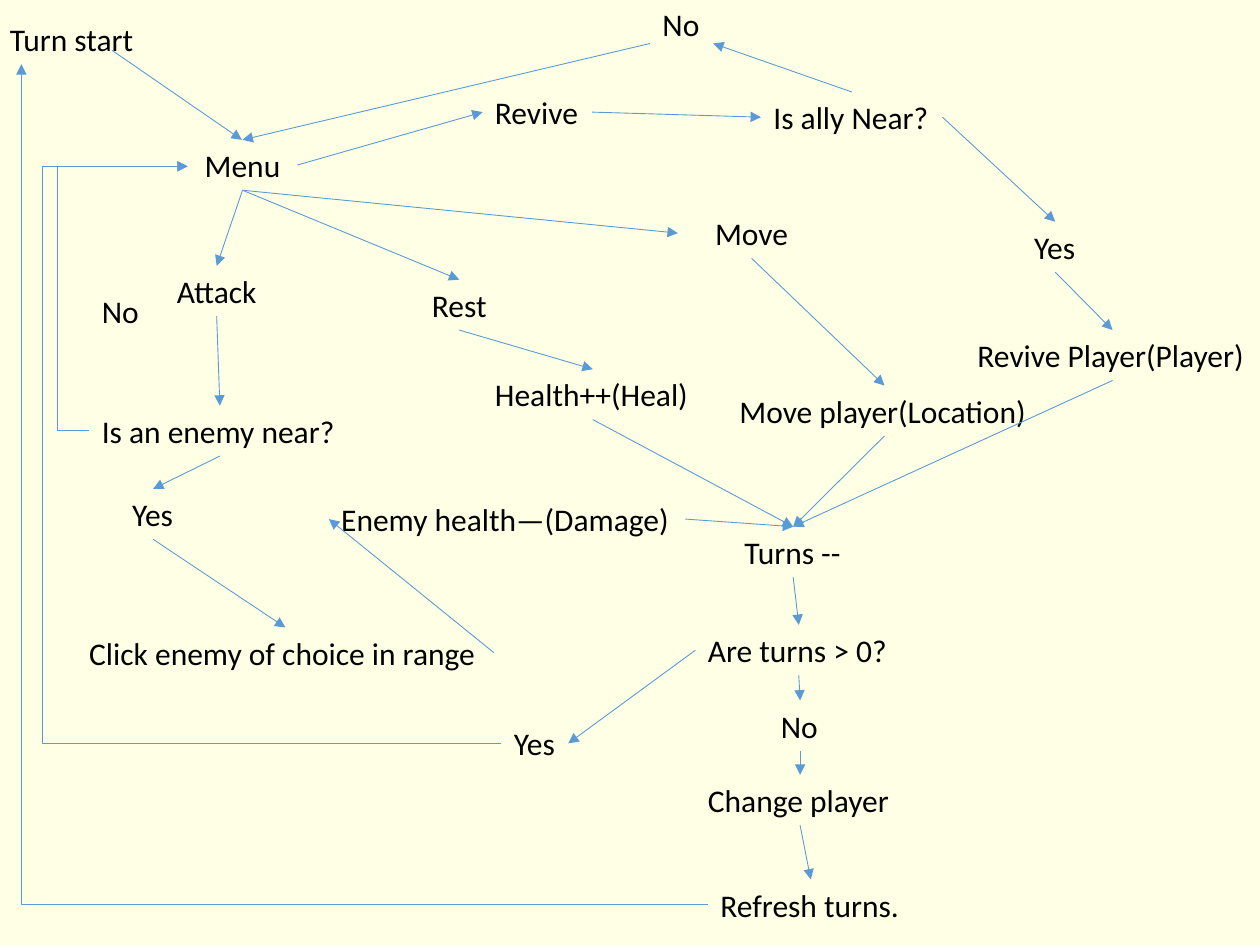
"""Build the turn flowchart slide."""
import pptx
import pptx.dml.color
import pptx.enum.shapes
import pptx.enum.text
import pptx.oxml
import pptx.util
from pptx.util import Inches

BACKGROUND, TEXT, ARROW = "FFFFE5", "000000", "5B9BD5"
LABEL_HEIGHT = 0.4
TOP, LEFT, BOTTOM, RIGHT = range(4)

CENTERED_LABELS = {
    "menu": ("Menu", 1.49, 1.11, 0.87),
    "attack": ("Attack", 0.95, 2.11, 1.54),
    "rest": ("Rest", 3.11, 2.22, 1.07),
    "move": ("Move", 5.38, 1.65, 1.17),
}
LABELS = {
    "start": ("Turn start", -0.02, 0.11, 1.19),
    "move player": ("Move player(Location)", 5.77, 3.06, 2.5),
    "turns left": ("Are turns > 0?", 5.52, 4.96, 1.64),
    "change": ("Change player", 5.52, 6.15, 1.66),
    "refresh": ("Refresh turns.", 5.62, 6.98, 1.63),
    "turns": ("Turns --", 5.81, 4.18, 0.97),
    "enemy near": ("Is an enemy near?", 0.71, 3.22, 2.07),
    "no enemy": ("No", 0.71, 2.27, 0.5),
    "yes enemy": ("Yes", 0.95, 3.88, 0.53),
    "damage": ("Enemy health\u2014(Damage)", 2.61, 3.92, 2.83),
    "heal": ("Health++(Heal)", 3.83, 2.93, 1.75),
    "yes turns": ("Yes", 3.98, 5.7, 0.53),
    "no turns": ("No", 6.1, 5.56, 0.5),
    "revive": ("Revive", 3.83, 0.69, 0.87),
    "ally near": ("Is ally Near?", 6.04, 0.73, 1.44),
    "yes ally": ("Yes", 8.11, 1.76, 0.53),
    "no ally": ("No", 5.16, -0.01, 0.5, 0.71),
    "revive player": ("Revive Player(Player)", 7.66, 2.62, 2.34),
    "click": ("Click enemy of choice in range", 0.61, 4.98, 3.31),
}
ARROWS = [
    ("menu", BOTTOM, "attack", TOP),
    ("menu", BOTTOM, "rest", TOP),
    ("menu", BOTTOM, "move", LEFT),
    ("menu", RIGHT, "revive", LEFT),
    ("revive", RIGHT, "ally near", LEFT),
    ("ally near", TOP, "no ally", RIGHT),
    ("ally near", RIGHT, "yes ally", TOP),
    ("no ally", LEFT, "menu", TOP),
    ("yes ally", BOTTOM, "revive player", TOP),
    ("revive player", BOTTOM, "turns", TOP),
    ("move", BOTTOM, "move player", TOP),
    ("move player", BOTTOM, "turns", TOP),
    ("rest", BOTTOM, "heal", TOP),
    ("heal", BOTTOM, "turns", TOP),
    ("attack", BOTTOM, "enemy near", TOP),
    ("enemy near", BOTTOM, "yes enemy", TOP),
    ("yes enemy", BOTTOM, "click", TOP),
    ("click", RIGHT, "damage", LEFT),
    ("damage", RIGHT, "turns", TOP),
    ("turns", BOTTOM, "turns left", TOP),
    ("turns left", LEFT, "yes turns", RIGHT),
    ("turns left", BOTTOM, "no turns", TOP),
    ("no turns", BOTTOM, "change", TOP),
    ("change", BOTTOM, "refresh", TOP),
]
START_ARROW = ((0.89, 0.4), (1.92, 1.11))
RETURN_LOOPS = [
    ((5.62, 7.18), (0.17, 0.51), 0.17),
    ((3.98, 5.9), (1.49, 1.32), 0.34),
    ((0.71, 3.42), (1.49, 1.32), 0.46),
]


def color(value):
    return pptx.dml.color.RGBColor.from_string(value)


def add_label(page, text, left, top, width, height=LABEL_HEIGHT, centered=False):
    box = page.shapes.add_textbox(Inches(left), Inches(top), Inches(width), Inches(height))
    frame = box.text_frame
    frame.word_wrap = centered
    frame.auto_size = pptx.enum.text.MSO_AUTO_SIZE.SHAPE_TO_FIT_TEXT
    para = frame.paragraphs[0]
    para.text = text
    para.font.name = "Calibri"
    para.font.size = pptx.util.Pt(18)
    para.font.color.rgb = color(TEXT)
    if centered:
        para.alignment = pptx.enum.text.PP_ALIGN.CENTER
    return box


def add_arrow(page, begin=(0, 0), end=(0, 0), kind="STRAIGHT"):
    connector = page.shapes.add_connector(
        pptx.enum.shapes.MSO_CONNECTOR[kind], *map(Inches, begin + end))
    connector.line.color.rgb = color(ARROW)
    connector.line.width = pptx.util.Pt(0.5)
    properties = connector._element.spPr
    head = pptx.oxml.parse_xml(
        '<a:tailEnd xmlns:a="http://schemas.openxmlformats.org/drawingml/2006/main" type="triangle"/>')
    properties.find(pptx.oxml.ns.qn("a:ln")).append(head)
    properties.append(pptx.oxml.parse_xml(
        '<a:effectLst xmlns:a="http://schemas.openxmlformats.org/drawingml/2006/main"/>'))
    return connector


def add_loop(page, begin, end, turn):
    connector = add_arrow(page, begin, end, "ELBOW")
    geometry = connector._element.spPr.find(pptx.oxml.ns.qn("a:prstGeom"))
    if turn == end[0]:
        geometry.set("prst", "bentConnector2")
        return
    ratio = round((turn - begin[0]) / (end[0] - begin[0]) * 100000)
    guides = geometry.find(pptx.oxml.ns.qn("a:avLst"))
    guides.append(pptx.oxml.parse_xml(
        '<a:gd xmlns:a="http://schemas.openxmlformats.org/drawingml/2006/main" '
        f'name="adj1" fmla="val {ratio}"/>'))


deck = pptx.Presentation()
deck.slide_width, deck.slide_height = Inches(10), Inches(7.5)
page = deck.slides.add_slide(deck.slide_layouts[6])
page.background.fill.solid()
page.background.fill.fore_color.rgb = color(BACKGROUND)

boxes = {name: add_label(page, *label, centered=True) for name, label in CENTERED_LABELS.items()}
boxes.update({name: add_label(page, *label) for name, label in LABELS.items()})

for source, source_side, target, target_side in ARROWS:
    arrow = add_arrow(page)
    arrow.begin_connect(boxes[source], source_side)
    arrow.end_connect(boxes[target], target_side)
add_arrow(page, *START_ARROW)
for loop in RETURN_LOOPS:
    add_loop(page, *loop)

deck.save("out.pptx")
